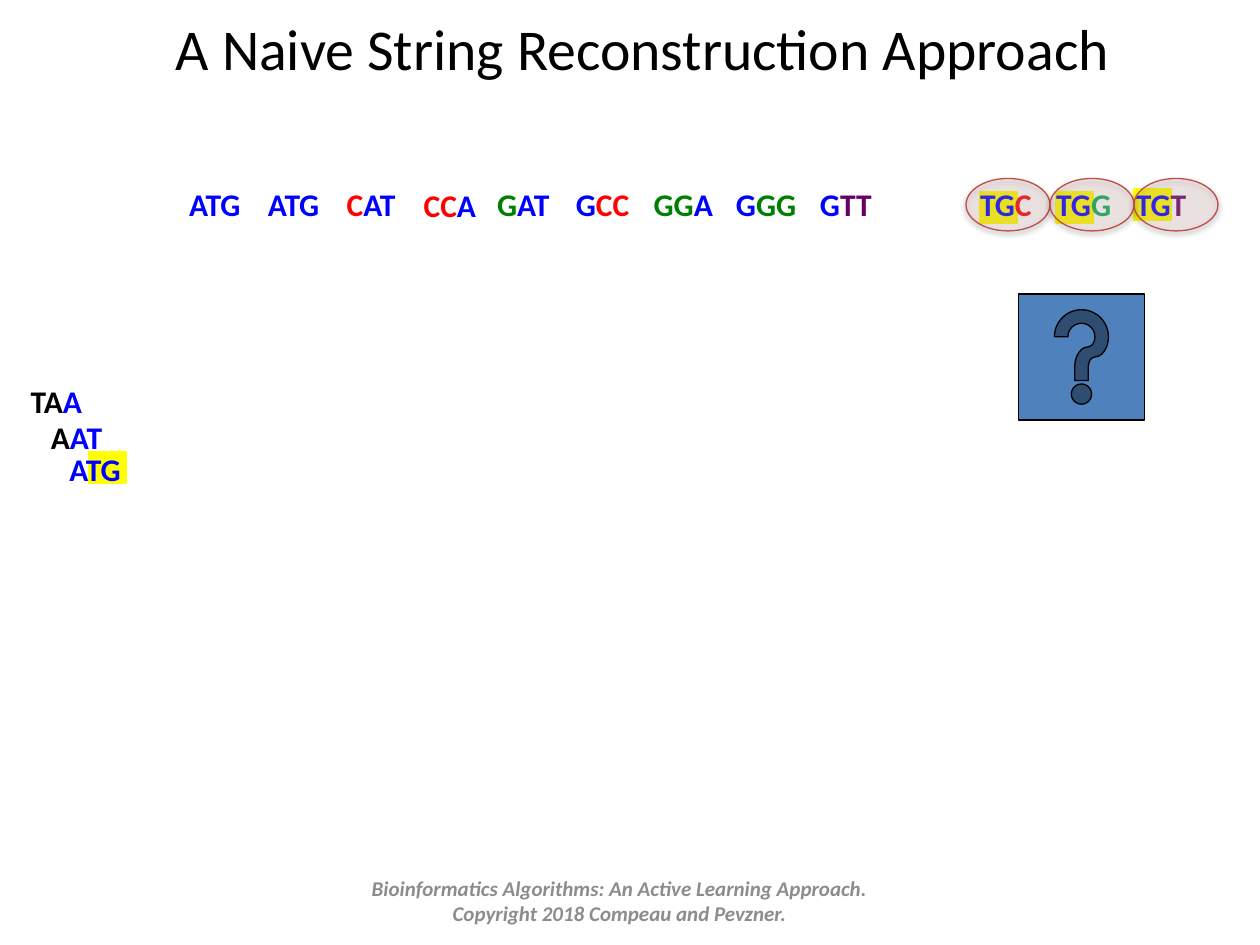
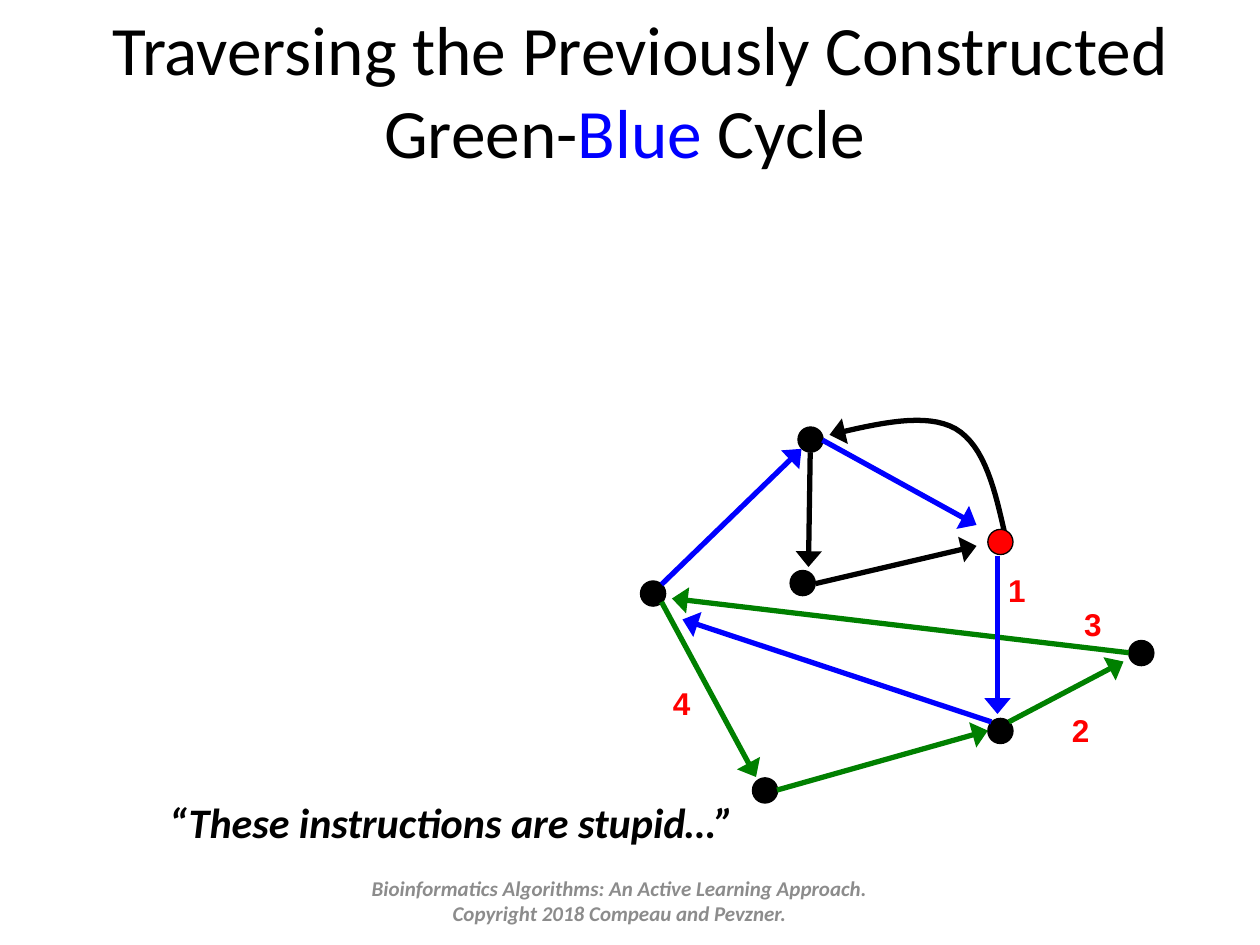
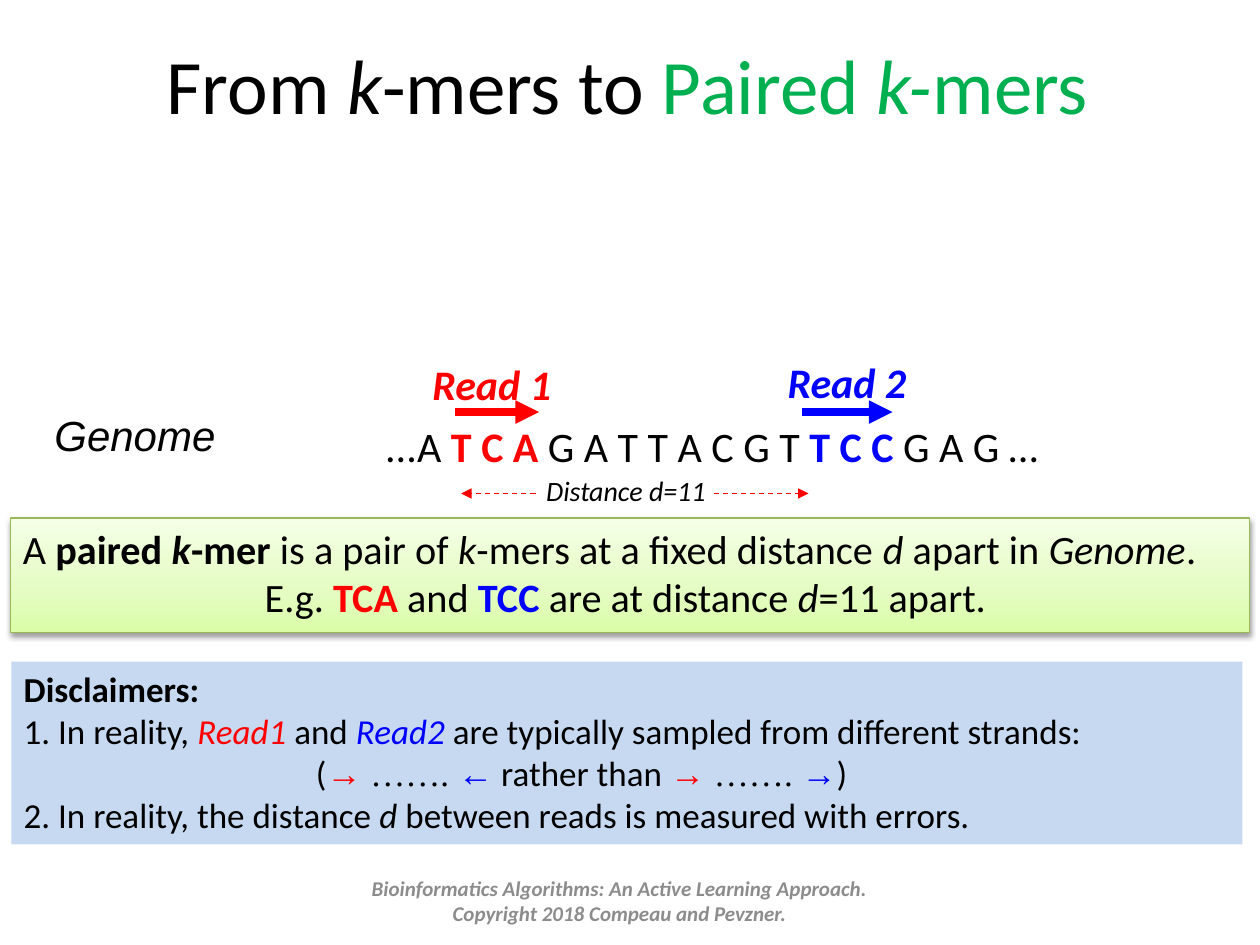
from itertools import groupby

from lxml.etree import SubElement
from copy import deepcopy
from pptx import Presentation
from pptx.dml.color import RGBColor
from pptx.enum.dml import MSO_LINE
from pptx.enum.shapes import MSO_CONNECTOR, MSO_SHAPE
from pptx.enum.text import MSO_ANCHOR, PP_ALIGN
from pptx.oxml.ns import qn
from pptx.util import Pt

COLORS = {
    "black": "000000", "blue": "0000FF", "red": "FF0000", "green": "008000",
    "purple": "660066", "emerald": "00B050", "yellow": "FFFF00", "grey": "8C8C8C",
    "pink": "E6B9B8", "brick": "BF4C48", "button": "4F81BD", "olive": "98B955",
    "lime": "DAFDA7", "pale lime": "E4FCC2", "white lime": "F5FFE7", "sky": "C6D9F1",
}
RGB = {name: RGBColor.from_string(value) for name, value in COLORS.items()}
SERIF = "Times New Roman"


def add_block(slide, box, paragraphs=(), size=18, preset=None, fill=None, edge=None,
              shadow=False, align=PP_ALIGN.LEFT, anchor=MSO_ANCHOR.TOP, wrap=True, font="Calibri"):
    """Add a text box, or a preset shape; runs are (text, colour, marks, font)."""
    box = [Pt(length) for length in box]
    if preset is None:
        block = slide.shapes.add_textbox(*box)
    else:
        block = slide.shapes.add_shape(preset, *box)
        block.shadow.inherit = False
        if fill:
            block.fill.solid()
            block.fill.fore_color.rgb = RGB[fill]
        if edge:
            block.line.color.rgb = RGB[edge]
            block.line.width = Pt(0.75)
        else:
            block.line.fill.background()
        if shadow:
            effects = block.element.spPr.find(qn("a:effectLst"))
            outer = SubElement(effects, qn("a:outerShdw"), blurRad=str(Pt(3.1)),
                               dist=str(Pt(1.6)), dir="5400000", rotWithShape="0")
            tint = SubElement(outer, qn("a:srgbClr"), val=COLORS["black"])
            SubElement(tint, qn("a:alpha"), val="38000")
    frame = block.text_frame
    frame.word_wrap = wrap
    frame.vertical_anchor = anchor
    for index, runs in enumerate(paragraphs):
        paragraph = frame.add_paragraph() if index else frame.paragraphs[0]
        paragraph.alignment = align
        for text, color, marks, *own_font in runs:
            run = paragraph.add_run()
            run.text = text
            run.font.size = Pt(size)
            run.font.name = own_font[0] if own_font else font
            run.font.color.rgb = RGB[color]
            run.font.bold = "b" in marks
            run.font.italic = "i" in marks
    return block


def make_arrow(stroke, color, width, dash=None, head_width="med"):
    """Style a connector or open outline as an arrow without a shadow."""
    stroke.line.color.rgb = RGB[color]
    stroke.line.width = Pt(width)
    if dash:
        stroke.line.dash_style = dash
    properties = stroke.element.spPr
    SubElement(properties.find(qn("a:ln")), qn("a:tailEnd"), type="triangle", w=head_width)
    SubElement(properties, qn("a:effectLst"))


deck = Presentation()
deck.slide_width, deck.slide_height = Pt(720), Pt(540)
naive, cycle, paired = [deck.slides.add_slide(deck.slide_layouts[6]) for _ in range(3)]

# Titles and footers
titles = [
    (naive, (14.5, 6, 705.5, 42), 33, [[("A Naive String Reconstruction Approach", "black", "")]]),
    (cycle, (42, 6, 648, 90), 39.6, [
        [("Traversing the Previously Constructed", "black", "")],
        [("Green-", "black", ""), ("Blue", "blue", ""), (" Cycle", "black", "")]]),
    (paired, (34.5, 3, 648, 90), 44, [[
        ("From ", "black", ""), ("k", "black", "i"), ("-mers to ", "black", ""),
        ("Paired ", "emerald", ""), ("k-", "emerald", "i"), ("mers", "emerald", "")]]),
]
for slide, box, size, paragraphs in titles:
    title = add_block(slide, box, paragraphs, size, align=PP_ALIGN.CENTER, anchor=MSO_ANCHOR.MIDDLE)
    if slide is cycle:
        title.text_frame.paragraphs[1]._p.get_or_add_pPr().set("marR", str(Pt(18)))
    add_block(slide, (156, 500, 396, 29), [
        [("Bioinformatics Algorithms: An Active Learning Approach.", "grey", "bi")],
        [("Copyright 2018 Compeau and Pevzner.", "grey", "bi")],
    ], 12, align=PP_ALIGN.CENTER, anchor=MSO_ANCHOR.MIDDLE)

# Slide 1: 3-mers, one colour code per letter
CODES = {"k": "black", "b": "blue", "r": "red", "g": "green", "p": "purple", "e": "emerald"}
for left, top in [(648, 108), (603.5, 109.5), (560, 109.5), (50.5, 258)]:
    add_block(naive, (left, top, 21.6, 18), preset=MSO_SHAPE.RECTANGLE, fill="yellow", edge="yellow")

kmers = [
    (101, 102, "ATG", "bbb"), (146, 102, "ATG", "bbb"), (191, 102, "CAT", "rbb"),
    (235, 103, "CCA", "rrb"), (277, 102, "GAT", "gbb"), (322, 102, "GCC", "brr"),
    (366.5, 102, "GGA", "ggb"), (413.5, 102, "GGG", "bgg"), (461.5, 102, "GTT", "bpp"),
    (553, 102, "TGC", "bbr"), (596.5, 102, "TGG", "bbe"), (642, 102, "TGT", "bbp"),
    (10.5, 214.5, "TAA", "kkb"), (22, 235.5, "AAT", "kbb"), (32.5, 253.5, "ATG", "bbb"),
]
for left, top, letters, codes in kmers:
    runs = []
    for code, pairs in groupby(zip(letters, codes), key=lambda pair: pair[1]):
        runs.append(("".join(letter for letter, _ in pairs), CODES[code], "b"))
    add_block(naive, (left, top, 52, 29), [runs], wrap=False)

for column in range(3):
    candidate = add_block(naive, (552 + 48 * column, 102, 48, 30), preset=MSO_SHAPE.OVAL,
                          fill="pink", edge="brick", shadow=True)
    tint = candidate.element.spPr.find(qn("a:solidFill"))[0]
    SubElement(tint, qn("a:alpha"), val="21000")
add_block(naive, (582, 168, 72, 72), preset=MSO_SHAPE.ACTION_BUTTON_HELP, fill="button", edge="black")

# Slide 2: the graph, with its curved edge as a chain of two cubic curves
curves = [
    [(574.5, 306.5), (568.8, 281), (563, 255), (546, 245)],
    [(546, 245), (529, 235.5), (502, 242), (474, 248.5)],
]
STEPS = 16
bend = []
for controls in curves:
    for step in range(1, STEPS + 1):
        t = step / STEPS
        weights = [(1 - t) ** 3, 3 * t * (1 - t) ** 2, 3 * t ** 2 * (1 - t), t ** 3]
        bend.append(tuple(Pt(sum(w * point[axis] for w, point in zip(weights, controls)))
                          for axis in (0, 1)))
start_x, start_y = curves[0][0]
builder = cycle.shapes.build_freeform(Pt(start_x), Pt(start_y))
builder.add_line_segments(bend, close=False)
curved_edge = builder.convert_to_shape()
curved_edge.fill.background()
make_arrow(curved_edge, "black", 3, head_width="lg")

nodes = [
    (456, 244, "black"), (564.5, 302.5, "red"), (645, 366, "black"), (564.5, 410.5, "black"),
    (430, 444.5, "black"), (451.5, 326, "black"), (366, 332, "black"),
]
for left, top, color in nodes:
    add_block(cycle, (left, top, 14.4, 14.4), preset=MSO_SHAPE.OVAL, fill=color, edge="black")

edges = {
    "black": [(463, 258.5, 462, 324), (466, 333.5, 558, 312)],
    "green": [(444, 451.5, 564.5, 417.5), (576.5, 412.5, 642, 378),
              (645, 373, 384, 342), (378, 344, 432, 444)],
    "blue": [(566.5, 412.5, 390, 354), (378, 334, 458, 256.5),
             (470, 251.5, 558, 300), (570, 318, 570, 408)],
}
for color, ends in edges.items():
    for end_points in ends:
        edge = cycle.shapes.add_connector(MSO_CONNECTOR.STRAIGHT, *[Pt(v) for v in end_points])
        make_arrow(edge, color, 3, head_width="lg")

for number, (left, top) in enumerate([(569, 322.5), (605.5, 403), (612.5, 342), (377.5, 387.5)], 1):
    add_block(cycle, (left, top, 24.5, 29), [[(str(number), "red", "b")]], wrap=False, font="Arial")
add_block(cycle, (89.5, 451.5, 356, 36.5), [[("“These instructions are stupid…”", "black", "bi")]], 24)

# Slide 3: two reads on the genome
add_block(paired, (24, 230.5, 150, 36), [[("Genome", "black", "i")]], 24, font="Arial")
read_arrows = [
    ((260, 235.5, 308, 235.5), "red", 4.5, None),
    ((458.5, 235.5, 510, 235.5), "blue", 4.5, None),
    ((306, 282, 263.5, 282), "red", 0.75, MSO_LINE.DASH),
    ((408, 282, 462, 282), "red", 0.75, MSO_LINE.DASH),
]
for end_points, color, width, dash in read_arrows:
    arrow = paired.shapes.add_connector(MSO_CONNECTOR.STRAIGHT, *[Pt(v) for v in end_points])
    make_arrow(arrow, color, width, dash)
for left, top, label, color in [(240, 201.5, "Read 1", "red"), (443, 200, "Read 2", "blue")]:
    add_block(paired, (left, top, 83, 36), [[(label, color, "bi")]], 24, wrap=False)
add_block(paired, (213, 237, 397.5, 36), [[
    ("...A ", "black", ""), ("T C A ", "red", "b"), ("G A T T A C G T ", "black", ""),
    ("T C C ", "blue", "b"), ("G A G …", "black", "")]], 24)

definition = add_block(paired, (6, 296, 708, 65.5), [
    [("A ", "black", ""), ("paired ", "black", "b"), ("k", "black", "bi"), ("-mer ", "black", "b"),
     ("is a pair of ", "black", ""), ("k", "black", "i"), ("-mers at a fixed distance ", "black", ""),
     ("d", "black", "i"), (" apart in ", "black", ""), ("Genome", "black", "i"), (".", "black", "")],
    [("E.g. ", "black", ""), ("TCA ", "red", "b"), ("and ", "black", ""), ("TCC", "blue", "b"),
     (" are at distance ", "black", ""), ("d", "black", "i"), ("=11 apart. ", "black", "")],
], 23, preset=MSO_SHAPE.RECTANGLE, edge="olive", shadow=True, align=PP_ALIGN.CENTER)
definition.text_frame.paragraphs[0].alignment = PP_ALIGN.LEFT
definition.fill.gradient()
definition.fill.gradient_angle = 90
stop_list = definition.element.spPr.find(".//" + qn("a:gsLst"))
stop_list.insert(1, deepcopy(stop_list[0]))
shades = [(0, "lime"), (0.35, "pale lime"), (1, "white lime")]
for stop, (position, shade) in zip(definition.fill.gradient_stops, shades):
    stop.position = position
    stop.color.rgb = RGB[shade]

add_block(paired, (305, 267, 107, 27), [[("Distance d=11", "black", "i")]], 16, wrap=False)

disclaimers = add_block(paired, (6.5, 378, 703.5, 104.5), [
    [("Disclaimers:", "black", "b")],
    [("1. In reality, ", "black", ""), ("Read1", "red", "i"), (" and ", "black", ""),
     ("Read2 ", "blue", "i"), ("are typically sampled from different strands:", "black", "")],
    [("(", "black", ""), ("→ ", "red", "", SERIF), ("……. ", "black", "", SERIF),
     ("←", "blue", "", SERIF), (" rather than ", "black", ""), ("→", "red", "", SERIF),
     (" ……. ", "black", "", SERIF), ("→", "blue", "", SERIF), (")", "black", "")],
    [("2. In reality, the distance ", "black", ""), ("d", "black", "i"),
     (" between reads is measured with errors.", "black", "")],
], 20, preset=MSO_SHAPE.RECTANGLE, fill="sky")
strands = disclaimers.text_frame.paragraphs[2]
strands._p.get_or_add_pPr().set("marL", str(Pt(167)))

deck.save("out.pptx")
